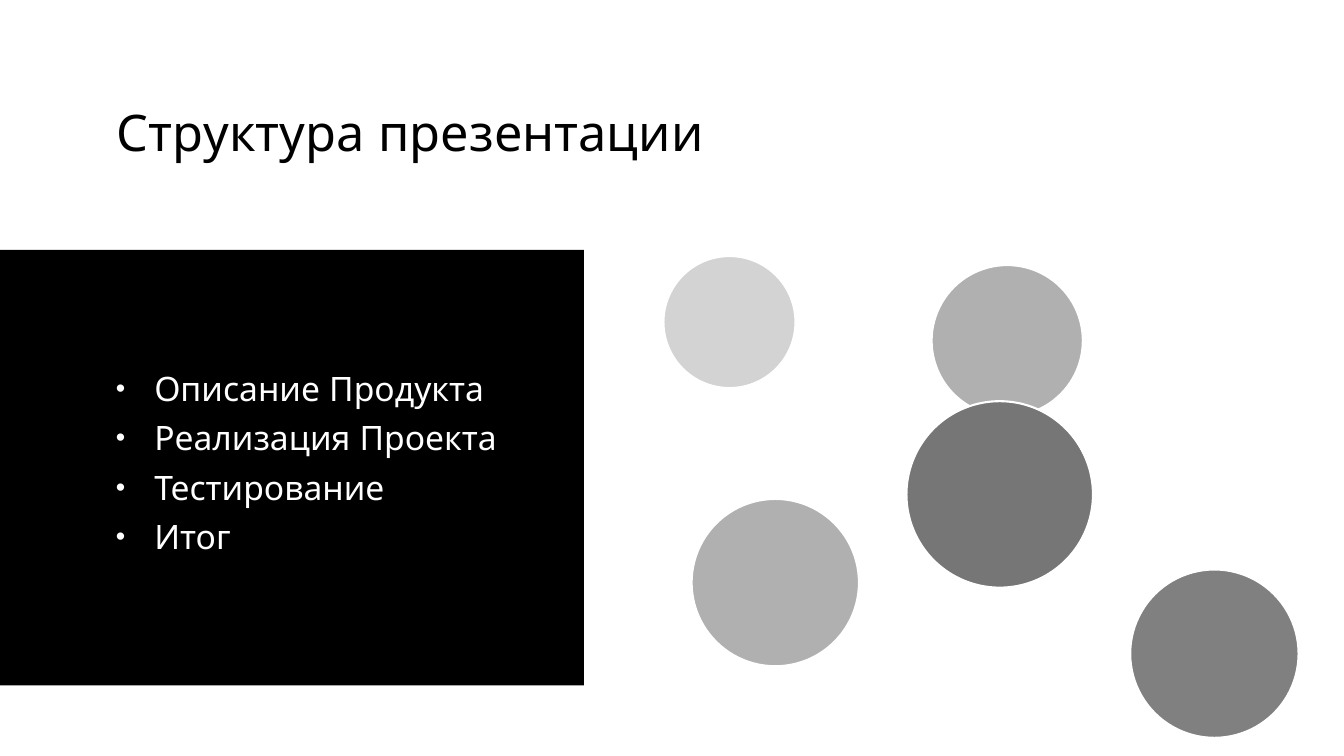
"""Build a presentation-outline slide with a dark agenda panel and grey circles."""
from dataclasses import dataclass

from lxml import etree
from pptx import Presentation
from pptx.dml.color import RGBColor
from pptx.enum.shapes import MSO_SHAPE
from pptx.enum.text import MSO_ANCHOR, MSO_AUTO_SIZE, PP_ALIGN
from pptx.oxml.ns import qn
from pptx.util import Inches, Pt

RECTANGLE, OVAL = MSO_SHAPE.RECTANGLE, MSO_SHAPE.OVAL
MIDDLE, LEFT, NO_FIT = MSO_ANCHOR.MIDDLE, PP_ALIGN.LEFT, MSO_AUTO_SIZE.NONE

HEADING = "Структура презентации"
AGENDA = ["Описание Продукта", "Реализация Проекта", "Тестирование", "Итог"]

SLIDE_SIZE = (13.33, 7.5)
HEADING_BOX = (1.06, 0.37, 11.61, 1.86)
PANEL_BOX = (0, 2.48, 5.79, 4.32)
AGENDA_BOX = (1.05, 2.83, 4.04, 3.56)
CIRCLES = [
    (6.86, 4.95, 1.66, "B0B0B0"),
    (9.24, 2.63, 1.5, "B0B0B0"),
    (11.21, 5.65, 1.67, "808080"),
    (6.58, 2.54, 1.31, "D3D3D3"),
    (8.99, 3.98, 1.85, "767676"),
]


@dataclass(frozen=True)
class Theme:
    font: str = "Quicksand"
    dark: str = "000000"
    light: str = "FFFFFF"
    heading_size: float = 36
    agenda_size: float = 24
    agenda_gap: float = 10
    agenda_spacing: float = 0.88
    indent: float = 0.38
    outline: float = 1.5


THEME = Theme()


def rgb(color):
    return RGBColor.from_string(color)


def inches(box):
    return [Inches(length) for length in box]


def place(placeholder, box):
    placeholder.left, placeholder.top, placeholder.width, placeholder.height = inches(box)
    frame = placeholder.text_frame
    frame.word_wrap = True
    frame.auto_size = NO_FIT
    frame.vertical_anchor = MIDDLE
    return frame


def write(paragraph, text, size, color):
    paragraph.alignment = LEFT
    run = paragraph.add_run()
    run.text = text
    run.font.name = THEME.font
    run.font.size = Pt(size)
    run.font.color.rgb = rgb(color)


def add_bullet(paragraph):
    properties = paragraph._p.get_or_add_pPr()
    properties.set("marL", str(Inches(THEME.indent)))
    properties.set("indent", str(-Inches(THEME.indent)))
    bullet_color = etree.SubElement(properties, qn("a:buClr"))
    etree.SubElement(bullet_color, qn("a:srgbClr"), val=THEME.light)
    etree.SubElement(properties, qn("a:buSzPct"), val="80000")
    etree.SubElement(properties, qn("a:buChar"), char="•")


def add_plain_shape(slide, kind, box, fill):
    shape = slide.shapes.add_shape(kind, *inches(box))
    shape.shadow.inherit = False
    shape.fill.solid()
    shape.fill.fore_color.rgb = rgb(fill)
    shape.line.fill.background()
    return shape


def main():
    deck = Presentation()
    deck.slide_width, deck.slide_height = inches(SLIDE_SIZE)
    slide = deck.slides.add_slide(deck.slide_layouts[1])

    panel = add_plain_shape(slide, RECTANGLE, PANEL_BOX, THEME.dark)
    slide.shapes.title._element.addprevious(panel._element)

    heading = place(slide.shapes.title, HEADING_BOX).paragraphs[0]
    write(heading, HEADING, THEME.heading_size, THEME.dark)

    agenda = place(slide.placeholders[1], AGENDA_BOX)
    for index, topic in enumerate(AGENDA):
        entry = agenda.add_paragraph() if index else agenda.paragraphs[0]
        add_bullet(entry)
        entry.line_spacing = THEME.agenda_spacing
        entry.space_before = Pt(THEME.agenda_gap if index else 0)
        write(entry, topic, THEME.agenda_size, THEME.light)

    for left, top, diameter, grey in CIRCLES:
        circle = add_plain_shape(slide, OVAL, (left, top, diameter, diameter), grey)
        circle.line.color.rgb = rgb(THEME.light)
        circle.line.width = Pt(THEME.outline)

    deck.save("out.pptx")


if __name__ == "__main__":
    main()
